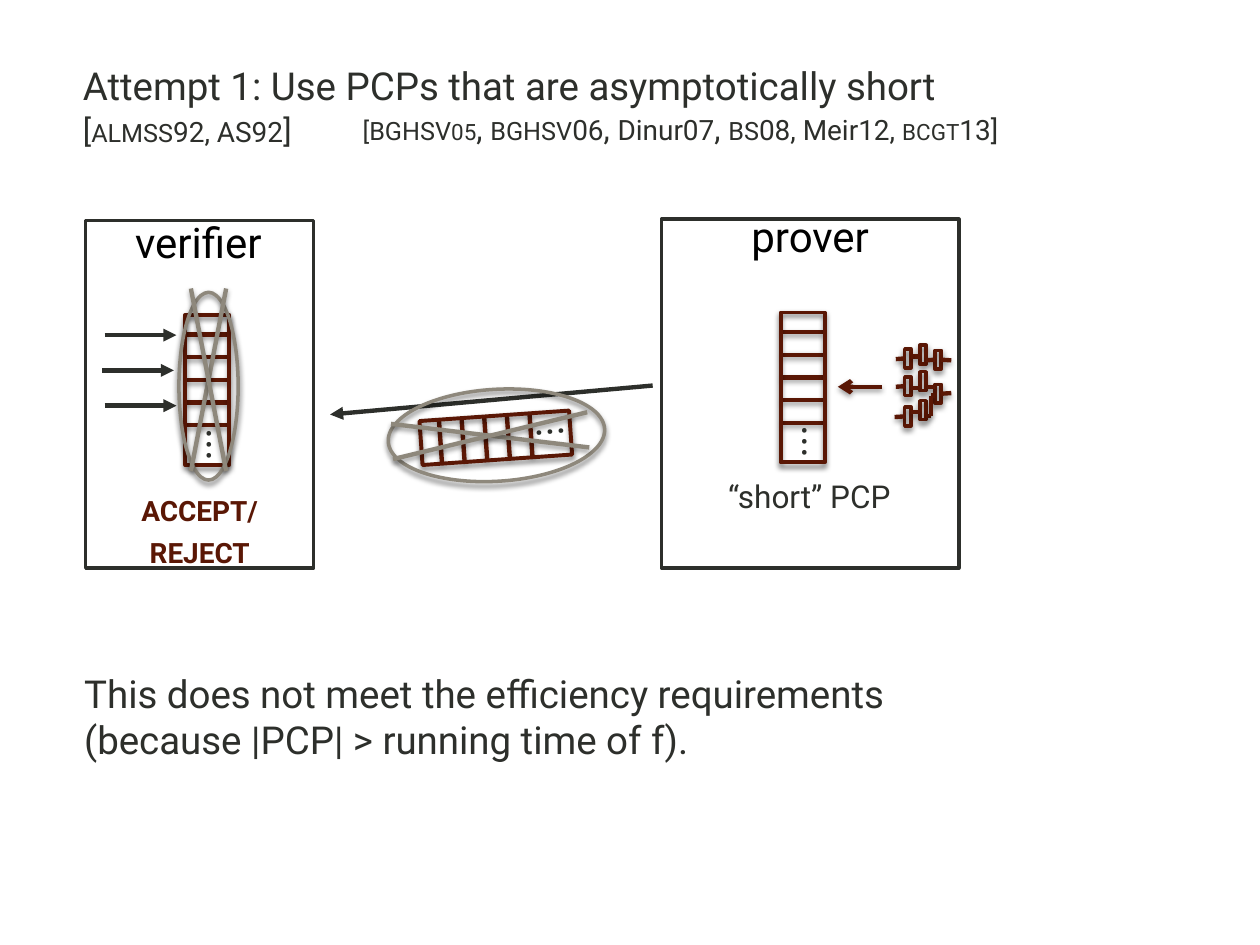
from math import cos, hypot, radians, sin

from lxml import etree
from pptx import Presentation
from pptx.dml.color import RGBColor
from pptx.enum.shapes import MSO_CONNECTOR, MSO_SHAPE
from pptx.enum.text import PP_ALIGN
from pptx.oxml.ns import qn
from pptx.util import Inches, Pt

RECTANGLE, OVAL = MSO_SHAPE.RECTANGLE, MSO_SHAPE.OVAL
STRAIGHT = MSO_CONNECTOR.STRAIGHT
LEFT, CENTER = PP_ALIGN.LEFT, PP_ALIGN.CENTER
INK, MAROON, GREY, BLACK = "2D2F2B", "5A1705", "8E887C", "000000"
SHAPE_SHADOW, LINE_SHADOW = (50, 3, 2), (38, 3.1, 1.6)
LEFT_SIDE, RIGHT_SIDE = 1, 3


def rgb(value):
    return RGBColor.from_string(value)


def add_effects(part, shadow):
    effects = etree.SubElement(part._element.spPr, qn("a:effectLst"))
    if shadow:
        opacity, blur, distance = shadow
        outer = etree.SubElement(effects, qn("a:outerShdw"), blurRad=str(Pt(blur)),
                                 dist=str(Pt(distance)), dir="5400000", rotWithShape="0")
        color = etree.SubElement(outer, qn("a:srgbClr"), val=BLACK)
        etree.SubElement(color, qn("a:alpha"), val=str(opacity * 1000))


def add_text(shapes, box, runs, size=18, color=INK, bold=False, align=LEFT, angle=0):
    label = shapes.add_textbox(*map(Inches, box))
    label.rotation = angle
    label.text_frame.word_wrap = True
    paragraph = label.text_frame.paragraphs[0]
    paragraph.alignment = align
    for words, run_size, small_caps in [(runs, size, False)] if isinstance(runs, str) else runs:
        run = paragraph.add_run()
        run.text = words
        run.font.name = "Roboto"
        run.font.size = Pt(run_size)
        run.font.bold = bold
        run.font.color.rgb = rgb(color)
        if small_caps:
            run._r.get_or_add_rPr().set("cap", "small")
    return label


def add_outline(shapes, kind, box, color, width=2, shadow=None, angle=0):
    outline = shapes.add_shape(kind, *map(Inches, box))
    outline.rotation = angle
    outline.fill.background()
    outline.line.color.rgb = rgb(color)
    outline.line.width = Pt(width)
    add_effects(outline, shadow)
    return outline


def add_line(shapes, start, end, color, shadow=None, head=None):
    line = shapes.add_connector(STRAIGHT, *map(Inches, (*start, *end)))
    line.line.color.rgb = rgb(color)
    line.line.width = Pt(2.5)
    if head:
        etree.SubElement(line.line._get_or_add_ln(), qn("a:tailEnd"), type=head)
    add_effects(line, shadow)
    return line


def turned(center, angle, along, across):
    turn = radians(angle)
    return (center[0] + along * cos(turn) - across * sin(turn),
            center[1] + along * sin(turn) + across * cos(turn))


def around(center, width, height):
    return center[0] - width / 2, center[1] - height / 2, width, height


def draw_proof(slide, center, angle):
    shapes = slide.shapes.add_group_shape().shapes
    for cell in range(5):
        along = -0.44 + 0.18 * cell
        add_line(shapes, turned(center, angle, along, -0.165),
                 turned(center, angle, along, 0.165), MAROON, LINE_SHADOW)
    dots = turned(center, angle, 0.485, -0.095)
    add_text(shapes, around(dots, 0.56, 0.57), "...", size=24, angle=angle)
    add_outline(shapes, RECTANGLE, around(center, 1.19, 0.35), MAROON, 2.25,
                SHAPE_SHADOW, angle)


def draw_cross_out(slide, center, angle, width, height, reach):
    shapes = slide.shapes.add_group_shape().shapes
    add_outline(shapes, OVAL, around(center, width, height), GREY, 2, SHAPE_SHADOW, angle)
    middle = turned(center, angle, -0.05, 0)
    for tilt in (0.14, -0.14):
        add_line(shapes, turned(middle, angle, -reach, -tilt),
                 turned(middle, angle, reach, tilt), GREY, LINE_SHADOW)


def draw_circuit(slide, left, top):
    shapes = slide.shapes.add_group_shape().shapes
    gate_width, gate_height = 0.05, 0.15
    columns = [(0.08, (0.03, 0.25, 0.49)), (0.2, (0, 0.21, 0.44)), (0.32, (0.04, 0.31))]
    wires = [
        (0.01, 0.11, 0.08, 0.11), (0.01, 0.33, 0.08, 0.33), (0, 0.57, 0.08, 0.57),
        (0.13, 0.34, 0.2, 0.34), (0.25, 0.12, 0.32, 0.12), (0.13, 0.09, 0.16, 0.09),
        (0.13, 0.53, 0.2, 0.53), (0.25, 0.56, 0.29, 0.56), (0.29, 0.4, 0.32, 0.4),
        (0.29, 0.4, 0.29, 0.56), (0.26, 0.33, 0.32, 0.33), (0.37, 0.12, 0.45, 0.12),
        (0.37, 0.38, 0.45, 0.38), (0.16, 0.09, 0.2, 0.09),
    ]
    ports = []
    for x, rows in columns:
        for y in rows:
            gate = add_outline(shapes, RECTANGLE, (left + x, top + y, gate_width, gate_height),
                               MAROON, 2, SHAPE_SHADOW)
            middle = y + gate_height / 2
            ports += [(x, middle, gate, LEFT_SIDE), (x + gate_width, middle, gate, RIGHT_SIDE)]
    for x1, y1, x2, y2 in wires:
        wire = add_line(shapes, (left + x1, top + y1), (left + x2, top + y2),
                        MAROON, LINE_SHADOW)
        for x, y, gate, side in ports:
            if hypot(x - x1, y - y1) < 0.01:
                wire.begin_connect(gate, side)
            if hypot(x - x2, y - y2) < 0.01:
                wire.end_connect(gate, side)


def draw_heading(slide, left, top):
    shapes = slide.shapes
    add_text(shapes, (left, top, 9.34, 0.83),
             "Attempt 1: Use PCPs that are asymptotically short", size=22)
    add_text(shapes, (left, top + 0.39, 3.29, 0.4),
             [("[", 18, False), ("almss", 18, True), ("92, AS92", 16, False), ("]", 18, False)])
    add_text(shapes, (left + 2.22, top + 0.38, 5.76, 0.6),
             [("[bghsv", 18, True), ("05", 16, True), (", ", 18, False),
              ("bghsv", 18, True), ("06", 16, False), (", ", 18, False),
              ("Dinur07", 16, False), (", ", 18, False), ("bs", 18, True),
              ("08, Meir12, ", 16, False), ("bcgt", 16, True), ("13]", 16, False)])


def draw_verifier(slide, left, top, width, height):
    shapes = slide.shapes
    add_text(shapes, (left - 0.01, top - 0.08, width, 0.5), "verifier",
             size=24, color=BLACK, align=CENTER)
    add_outline(shapes, RECTANGLE, (left, top, width, height), INK)
    add_text(shapes, (left, top + 2.06, width, 0.71), [("accept/reject", 20, True)],
             color=MAROON, bold=True, align=CENTER)
    for query, indent in enumerate((0.15, 0.13, 0.15)):
        y = top + 0.91 + 0.28 * query
        add_line(shapes, (left + indent, y), (left + indent + 0.57, y), INK, head="triangle")
    draw_proof(slide, (left + 0.965, top + 1.345), 90)
    draw_cross_out(slide, (left + 0.975, top + 1.315), 90, 1.49, 0.47, 0.725)


def draw_message(slide, left, top):
    add_line(slide.shapes, (left + 2.56, top), (left, top + 0.23), INK, head="triangle")
    draw_proof(slide, (left + 1.315, top + 0.415), 356)
    draw_cross_out(slide, (left + 1.32, top + 0.395), 356.6, 1.72, 0.73, 0.78)


def draw_prover(slide, left, top, width, height):
    shapes = slide.shapes
    add_text(shapes, (left, top - 0.12, width, 0.5), "prover",
             size=24, color=BLACK, align=CENTER)
    draw_proof(slide, (left + 1.12, top + 1.335), 90)
    add_outline(shapes, RECTANGLE, (left, top, width, height), INK)
    add_text(shapes, (left + 0.43, top + 2, 1.62, 0.65), "“short” PCP")
    draw_circuit(slide, left + 1.85, top + 1)
    add_line(shapes, (left + 1.75, top + 1.33), (left + 1.4, top + 1.33), MAROON,
             LINE_SHADOW, "arrow")


def main():
    deck = Presentation()
    deck.slide_width, deck.slide_height = Inches(10), Inches(7.5)
    slide = deck.slides.add_slide(deck.slide_layouts[6])
    draw_heading(slide, 0.56, 0.44)
    draw_prover(slide, 5.25, 1.74, 2.36, 2.77)
    draw_message(slide, 2.62, 3.06)
    draw_verifier(slide, 0.68, 1.75, 1.81, 2.76)
    add_text(slide.shapes, (0.57, 5.27, 6.68, 1.43),
             "This does not meet the efficiency requirements "
             "(because |PCP| > running time of f).", size=22)
    deck.save("out.pptx")


if __name__ == "__main__":
    main()
